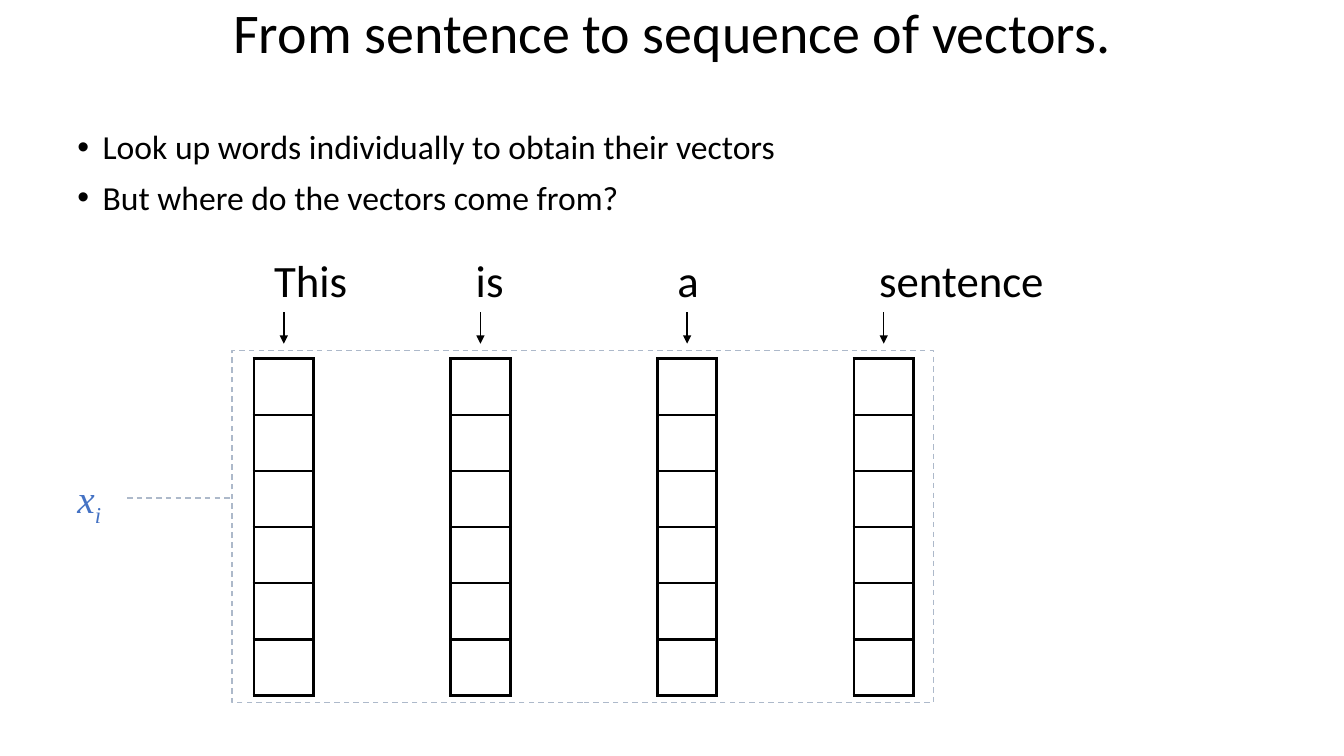
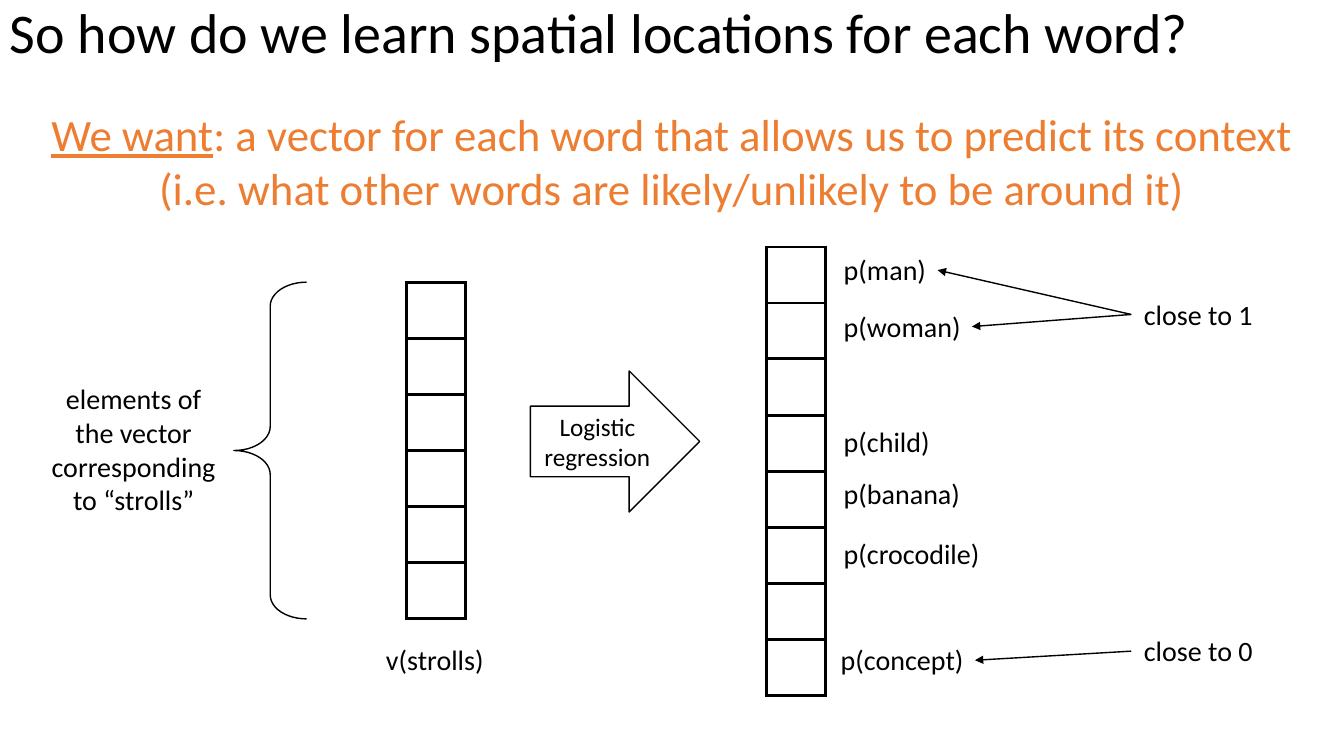
from pptx import Presentation
from pptx.dml.color import RGBColor
from pptx.enum.dml import MSO_LINE
from pptx.enum.shapes import MSO_CONNECTOR, MSO_SHAPE
from pptx.enum.text import MSO_ANCHOR, PP_ALIGN
from pptx.oxml.ns import qn
from pptx.util import Inches, Pt
from lxml.etree import SubElement

BLACK, WHITE, BLUE, ORANGE, GREY = "000000", "FFFFFF", "4472C4", "ED7D31", "ADB9CA"
SLIDE_W, SLIDE_H = 13.33, 7.5
CELL_W, CELL_H = 0.59, 3.34 / 6
VECTOR_SIZE = 6
LABEL_H = 0.44
CENTER = PP_ALIGN.CENTER

SENTENCE_TITLE = "From sentence to sequence of vectors."
BULLETS = ["Look up words individually to obtain their vectors",
           "But where do the vectors come from?"]
WORDS = [("This", 2.52), ("is", 4.47), ("a", 6.52), ("sentence", 8.47)]  # word, vector left
WORD_PITCH = 2
VECTOR_TOP = 3.56
FRAME = (2.3, 3.48, 6.96, 3.49)

LEARN_TITLE = "So how do we learn spatial locations for each word?"
GOAL = [[("We want", {"underline": True}),
         (": a vector for each word that allows us to predict its context", {})],
        "(i.e. what other words are likely/unlikely to be around it)"]
INPUT_LEFT, INPUT_TOP = 4.03, 2.8
OUTPUT_LEFT, OUTPUT_TOPS = 7.6, (2.45, 3.56)  # two overlapping tables make one tall vector
# word: left, top, width
PROBABILITIES = {
    "man": (8.27, 2.46, 1.03),
    "woman": (8.27, 3.02, 1.37),
    "child": (8.27, 4.16, 1.06),
    "banana": (8.27, 4.68, 1.37),
    "crocodile": (8.27, 5.27, 1.56),
    "concept": (8.24, 6.33, 1.43),
}
NOTE_LEFT, NOTE_W = 11.22, 1.33
NOTES = [("close to 1", 2.9, ["man", "woman"]), ("close to 0", 6.24, ["concept"])]


def rgb(color):
    return RGBColor.from_string(color)


def inches(*lengths):
    return [Inches(n) for n in lengths]


def write(tf, paragraphs, size=20, color=BLACK, font="Calibri", align=None,
          spacing=None, before=None, bullet=None, tabs=()):
    """Fill a frame; a paragraph is a string or a list of (text, font attributes)."""
    for i, runs in enumerate(paragraphs):
        p = tf.paragraphs[0] if i == 0 else tf.add_paragraph()
        p.alignment, p.line_spacing = align, spacing
        if before:
            p.space_before = Pt(before)
        pPr = p._p.get_or_add_pPr()
        if bullet:
            pPr.set("marL", str(Inches(0.25)))
            pPr.set("indent", str(Inches(-0.25)))
            SubElement(pPr, qn("a:buFont"), typeface="Arial")
            SubElement(pPr, qn("a:buChar"), char=bullet)
        if tabs:
            stops = SubElement(pPr, qn("a:tabLst"))
            for tab in tabs:
                SubElement(stops, qn("a:tab"), pos=str(Inches(tab)), algn="l")
        for text, attributes in [(runs, {})] if isinstance(runs, str) else runs:
            r = p.add_run()
            r.text = text
            r.font.name, r.font.size = font, Pt(size)
            r.font.color.rgb = rgb(color)
            for name, value in attributes.items():
                setattr(r.font, name, value)
    return tf


def add_text(slide, at, *paragraphs, wrap=True, **style):
    tf = slide.shapes.add_textbox(*inches(*at)).text_frame
    tf.word_wrap = wrap
    return write(tf, paragraphs, **style)


def style_line(line, color, dashed):
    line.color.rgb, line.width = rgb(color), Pt(1)
    if dashed:
        line.dash_style = MSO_LINE.DASH


def add_outline(slide, kind, at, color=BLACK, fill=None, dashed=False):
    sp = slide.shapes.add_shape(kind, *inches(*at))
    sp.shadow.inherit = False
    if fill:
        sp.fill.solid()
        sp.fill.fore_color.rgb = rgb(fill)
    else:
        sp.fill.background()
    style_line(sp.line, color, dashed)
    return sp


def add_line(slide, start, end, color=BLACK, dashed=False, arrow=True):
    line = slide.shapes.add_connector(MSO_CONNECTOR.STRAIGHT, *inches(*start, *end))
    style_line(line.line, color, dashed)
    if arrow:
        SubElement(line.line._get_or_add_ln(), qn("a:tailEnd"), type="triangle")
    SubElement(line._element.spPr, qn("a:effectLst"))


def add_vector(slide, left, top):
    """Draw a column of empty bordered cells."""
    table = slide.shapes.add_table(
        VECTOR_SIZE, 1, *inches(left, top, CELL_W, VECTOR_SIZE * CELL_H)).table
    table.first_row = table.horz_banding = False
    for row in table.rows:
        row.height = Inches(CELL_H)
        cell = row.cells[0]
        tcPr = cell._tc.get_or_add_tcPr()
        for side in "LRTB":
            ln = SubElement(tcPr, qn(f"a:ln{side}"), w=str(Pt(2.25)))
            SubElement(SubElement(ln, qn("a:solidFill")), qn("a:srgbClr"), val=BLACK)
        cell.fill.background()


def add_slide(prs, title, align=None):
    slide = prs.slides.add_slide(prs.slide_layouts[6])
    add_text(slide, (0, 0, SLIDE_W, 1.25), title, size=40, align=align, spacing=0.9)
    return slide


def build_sentence(prs):
    slide = add_slide(prs, SENTENCE_TITLE, CENTER)
    add_text(slide, (0.67, 1.25, 12, 1.06), *BULLETS, size=24,
             spacing=0.9, before=10, bullet="•")
    add_text(slide, (2.62, 2.46, 7.91, 0.64), "\t".join(word for word, _ in WORDS),
             size=32, tabs=[i * WORD_PITCH for i in range(1, len(WORDS))])
    for _, left in WORDS:
        add_vector(slide, left, VECTOR_TOP)
        middle = left + CELL_W / 2
        add_line(slide, (middle, 3.1), (middle, 3.41))
    symbol = [("x", {"italic": True}), ("i", {"italic": True})]
    tf = add_text(slide, (0.67, 4.66, 0.59, 0.57), symbol, size=28, color=BLUE,
                  font="Times New Roman")
    tf.paragraphs[0].runs[1].font._element.set("baseline", "-25000")
    add_outline(slide, MSO_SHAPE.RECTANGLE, FRAME, GREY, dashed=True)
    add_line(slide, (1.26, 4.94), (FRAME[0], 4.94), GREY, dashed=True, arrow=False)


def build_learning(prs):
    slide = add_slide(prs, LEARN_TITLE)
    add_text(slide, (0.35, 1.01, 12.63, 1.18), *GOAL, wrap=False,
             size=32, color=ORANGE, align=CENTER)

    add_text(slide, (0.38, 3.74, 1.89, 1.45),
             "elements of the vector corresponding to “strolls”", align=CENTER)
    brace = add_outline(slide, MSO_SHAPE.LEFT_BRACE,
                        (2.32, INPUT_TOP, 0.72, VECTOR_SIZE * CELL_H))
    brace.adjustments[0] = 0.33
    add_vector(slide, INPUT_LEFT, INPUT_TOP)
    add_text(slide, (3.73, 6.33, 1.18, LABEL_H), "v(strolls)", wrap=False)

    arrow = add_outline(slide, MSO_SHAPE.RIGHT_ARROW, (5.26, 3.68, 1.68, 1.4), fill=WHITE)
    tf = write(arrow.text_frame, ["Logistic regression"], size=18, align=CENTER)
    tf.word_wrap, tf.vertical_anchor = True, MSO_ANCHOR.MIDDLE

    for top in OUTPUT_TOPS:
        add_vector(slide, OUTPUT_LEFT, top)
    for word, at in PROBABILITIES.items():
        add_text(slide, (*at, LABEL_H), f"p({word})", wrap=False)
    for note, note_top, words in NOTES:
        add_text(slide, (NOTE_LEFT, note_top, NOTE_W, LABEL_H), note, align=CENTER)
        for word in words:
            left, top, width = PROBABILITIES[word]
            add_line(slide, (NOTE_LEFT, note_top + LABEL_H / 2),
                     (left + width, top + LABEL_H / 2))


def main():
    prs = Presentation()
    prs.slide_width, prs.slide_height = inches(SLIDE_W, SLIDE_H)
    build_sentence(prs)
    build_learning(prs)
    prs.save("out.pptx")


if __name__ == "__main__":
    main()
